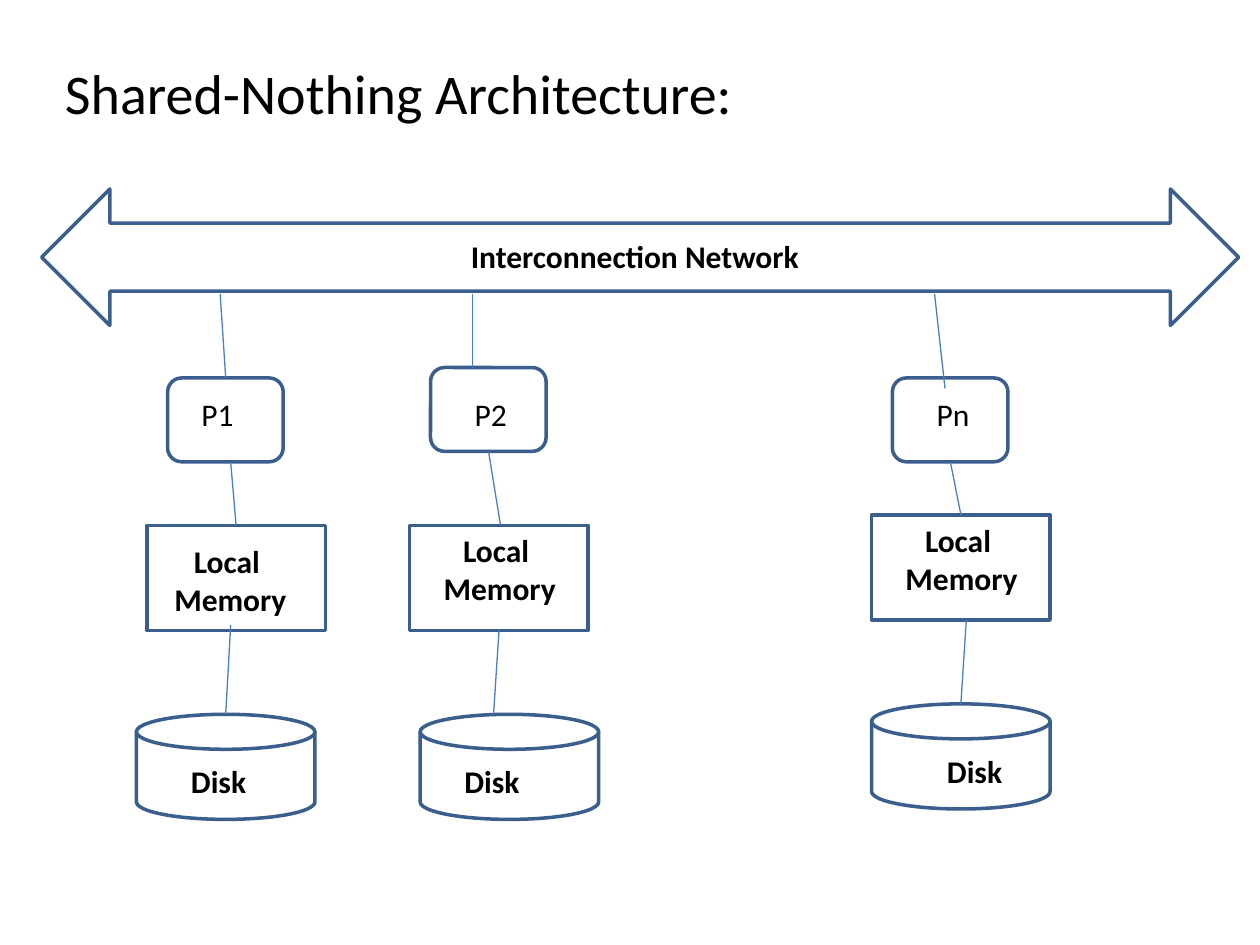
from dataclasses import dataclass

from lxml.etree import SubElement
from pptx import Presentation
from pptx.dml.color import RGBColor
from pptx.enum.shapes import MSO_CONNECTOR, MSO_SHAPE
from pptx.enum.text import PP_ALIGN
from pptx.oxml.ns import qn
from pptx.util import Cm, Pt

BLACK = RGBColor(0x00, 0x00, 0x00)
OUTLINE = RGBColor(0x3A, 0x5F, 0x8C)
LINK = RGBColor(0x4B, 0x7E, 0xBC)


@dataclass
class Node:
    """Offsets in centimetres from the left top corner of a node's column."""
    name: str
    left: float
    processor_top: float
    memory_top: float
    disk: tuple
    name_left: float
    memory_label: tuple
    disk_label: tuple
    links: tuple


NODES = (
    Node("P1", 2.96, 1.69, 4.66, (-0.21, 8.47), 0.85, (0.21, 4.87, 2.95), (0.64, 9.31),
         ((1.48, 0, 1.59, 1.69), (1.69, 3.39, 1.8, 4.66), (1.69, 6.67, 1.59, 8.47))),
    Node("P2", 8.26, 1.48, 4.66, (0.21, 8.47), 1.06, (0.42, 4.66, 2.79), (0.85, 9.31),
         ((1.27, 0, 1.27, 1.48), (1.59, 3.18, 1.83, 4.66), (1.8, 6.77, 1.69, 8.47))),
    Node("Pn", 17.57, 1.69, 4.45, (0, 8.26), 1.06, (0.42, 4.45, 2.79), (1.27, 9.1),
         ((1.27, 0, 1.48, 1.9), (1.59, 3.39, 1.8, 4.45), (1.91, 6.56, 1.8, 8.26))),
)


def add_text(slide, text, left, top, width, height, size=18, bold=False,
             align=PP_ALIGN.LEFT, wrap=True):
    """Add a text box with one paragraph for each line of the text."""
    box = slide.shapes.add_textbox(Cm(left), Cm(top), Cm(width), Cm(height))
    frame = box.text_frame
    frame.word_wrap = wrap
    frame.text = text
    for paragraph in frame.paragraphs:
        paragraph.alignment = align
        font = paragraph.font
        font.name = "Calibri"
        font.size = Pt(size)
        font.bold = bold
        font.color.rgb = BLACK


def add_outline(slide, kind, left, top, width, height):
    """Add an unfilled preset shape with the diagram's outline."""
    shape = slide.shapes.add_shape(kind, Cm(left), Cm(top), Cm(width), Cm(height))
    shape.shadow.inherit = False
    shape.fill.background()
    shape.line.color.rgb = OUTLINE
    shape.line.width = Pt(2)


def add_link(slide, start_x, start_y, end_x, end_y):
    """Add a thin straight connector without a shadow."""
    connector = slide.shapes.add_connector(
        MSO_CONNECTOR.STRAIGHT, Cm(start_x), Cm(start_y), Cm(end_x), Cm(end_y))
    connector.line.color.rgb = LINK
    connector.line.width = Pt(0.75)
    SubElement(connector._element.spPr, qn("a:effectLst"))


def add_network(slide, left, top, width, height):
    """Draw the interconnection arrow with its label."""
    add_outline(slide, MSO_SHAPE.LEFT_RIGHT_ARROW, left, top, width, height)
    add_text(slide, "Interconnection Network", left + 6.14, top + 0.84, 11.64, 1.02,
             bold=True, align=PP_ALIGN.CENTER)


def add_node(slide, node, left, top):
    """Draw one processor with its memory, disk and links."""
    disk_left, disk_top = node.disk
    add_outline(slide, MSO_SHAPE.ROUNDED_RECTANGLE,
                left + 0.42, top + node.processor_top, 2.33, 1.69)
    add_outline(slide, MSO_SHAPE.RECTANGLE, left, top + node.memory_top, 3.6, 2.12)
    add_outline(slide, MSO_SHAPE.FLOWCHART_MAGNETIC_DISK,
                left + disk_left, top + disk_top, 3.6, 2.12)

    label_left, label_top, label_width = node.memory_label
    disk_label_left, disk_label_top = node.disk_label
    add_text(slide, node.name, left + node.name_left, top + 1.9, 1.48, 1.02)
    add_text(slide, "Local \nMemory", left + label_left, top + label_top, label_width, 1.8,
             bold=True, align=PP_ALIGN.CENTER, wrap=False)
    add_text(slide, "Disk", left + disk_label_left, top + disk_label_top, 2, 1.02, bold=True)

    for start_x, start_y, end_x, end_y in node.links:
        add_link(slide, left + start_x, top + start_y, left + end_x, top + end_y)


def main():
    """Build and save the slide."""
    presentation = Presentation()
    presentation.slide_width = Cm(25.4)
    presentation.slide_height = Cm(19.05)
    slide = presentation.slides.add_slide(presentation.slide_layouts[6])
    add_text(slide, "Shared-Nothing Architecture:", 1.06, 1.06, 22.86, 16.51, size=32)
    add_network(slide, 0.84, 3.81, 24.13, 2.75)
    for node in NODES:
        add_node(slide, node, node.left, 5.93)
    presentation.save("out.pptx")


if __name__ == "__main__":
    main()
